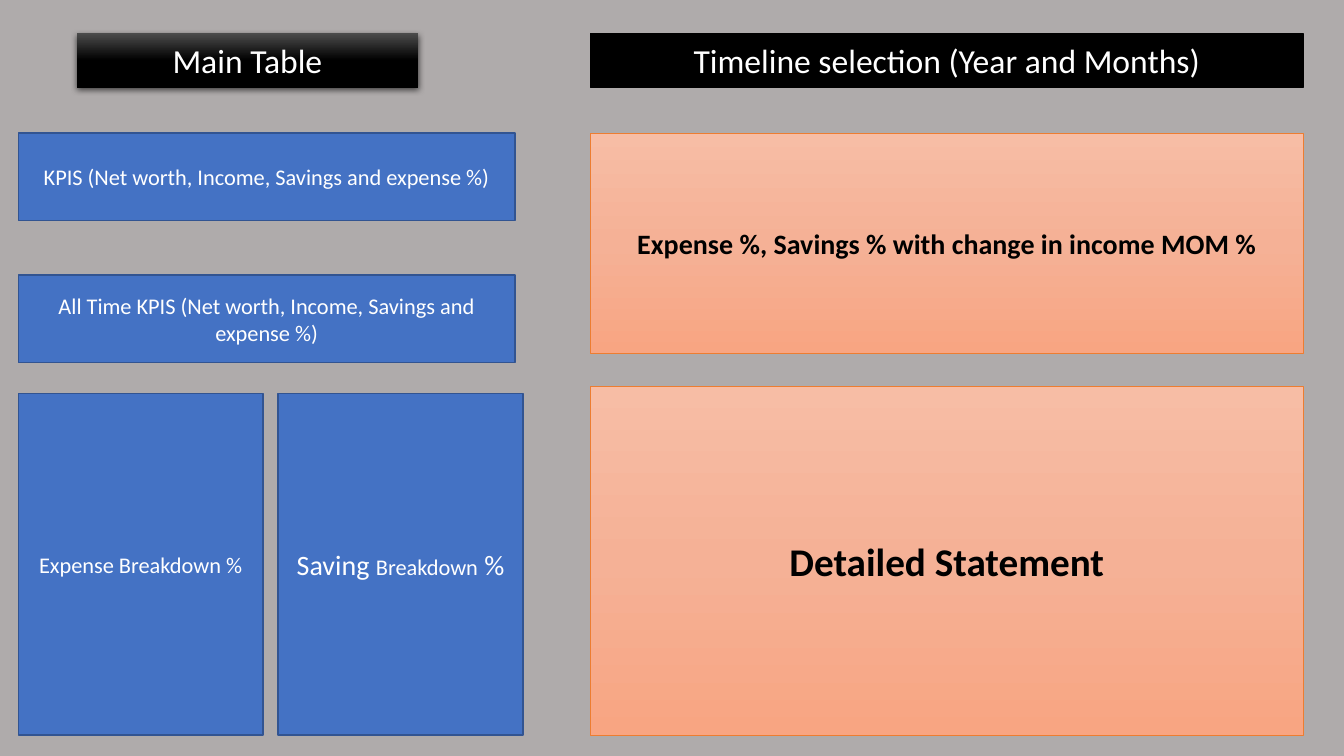
import pptx
import pptx.dml.color
import pptx.enum.shapes
import pptx.enum.text
import pptx.oxml.ns
import pptx.util
from lxml import etree

Cm = pptx.util.Cm
Pt = pptx.util.Pt
RGBColor = pptx.dml.color.RGBColor
qn = pptx.oxml.ns.qn

# Colours
GREY = RGBColor(0xAF, 0xAB, 0xAB)
BLACK = RGBColor(0x00, 0x00, 0x00)
CHARCOAL = RGBColor(0x4B, 0x4B, 0x4B)
WHITE = RGBColor(0xFF, 0xFF, 0xFF)
BLUE = RGBColor(0x44, 0x72, 0xC4)
DARK_BLUE = RGBColor(0x32, 0x54, 0x91)
ORANGE = RGBColor(0xED, 0x7D, 0x31)
PEACH = (RGBColor(0xF7, 0xBD, 0xA5), RGBColor(0xF5, 0xB1, 0x96), RGBColor(0xF8, 0xA5, 0x82))
GLOSS = (CHARCOAL, BLACK, BLACK)

# Content: each text is a list of (words, size in points)
KPIS = [
    [("KPIS (Net worth, Income, Savings and expense %)", 16)],
    [("All Time KPIS (Net worth, Income, Savings and expense %)", 16)],
]
BREAKDOWNS = [
    [("Expense Breakdown %", 16)],
    [("Saving ", 20), ("Breakdown", 16), (" %", 20)],
]
MAIN_TITLE = [("Main Table", 24)]
TIMELINE_TITLE = [("Timeline selection (Year and Months)", 24)]
MONTHLY_CHANGE = [("Expense %, Savings % with change in income MOM %", 20)]
STATEMENT = [("Detailed Statement", 28)]

# Layout in centimetres
LEFT, RIGHT = 0.46, 14.88
RIGHT_WIDTH = 17.96
TITLE_TOP, TITLE_HEIGHT = 0.84, 1.37
BODY_TOP, BODY_BOTTOM = 3.35, 18.52
KPI_WIDTH, KPI_HEIGHT, KPI_STEP = 12.52, 2.21, 3.58
BREAKDOWN_TOP, BREAKDOWN_WIDTH, BREAKDOWN_STEP = 9.91, 6.17, 6.55
CHANGE_HEIGHT = 5.56
STATEMENT_TOP = 9.73

# Looks shared by the boxes
BLUE_BOX = dict(fill=BLUE, line=DARK_BLUE)
PEACH_BOX = dict(fill=PEACH, line=ORANGE, line_width=0.5, color=BLACK, bold=True)


def add_color(parent, color):
    return etree.SubElement(parent, qn("a:srgbClr"), val=str(color))


def set_gradient(shape, colors):
    """Fill from top to bottom with evenly spaced colours."""
    shape.fill.gradient()
    shape.fill.gradient_angle = 270
    stops = shape._element.spPr.find(qn("a:gradFill")).find(qn("a:gsLst"))
    for stop in list(stops):
        stops.remove(stop)
    for index, color in enumerate(colors):
        position = 100000 * index // (len(colors) - 1)
        add_color(etree.SubElement(stops, qn("a:gs"), pos=str(position)), color)


def add_shadow(shape):
    effects = shape._element.spPr.find(qn("a:effectLst"))
    shadow = etree.SubElement(
        effects, qn("a:outerShdw"), blurRad=str(Pt(4.5)), dist=str(Pt(1.5)),
        dir="5400000", algn="ctr", rotWithShape="0")
    etree.SubElement(add_color(shadow, BLACK), qn("a:alpha"), val="63000")


def write_text(shape, text, color=WHITE, bold=False):
    frame = shape.text_frame
    frame.word_wrap = True
    frame.vertical_anchor = pptx.enum.text.MSO_ANCHOR.MIDDLE
    paragraph = frame.paragraphs[0]
    paragraph.alignment = pptx.enum.text.PP_ALIGN.CENTER
    for words, size in text:
        run = paragraph.add_run()
        run.text = words
        run.font.name = "Calibri"
        run.font.size = Pt(size)
        run.font.bold = bold
        run.font.color.rgb = color


def add_box(slide, text, left, top, width, height, fill, line=None, line_width=1, **text_format):
    shape = slide.shapes.add_shape(
        pptx.enum.shapes.MSO_SHAPE.RECTANGLE, Cm(left), Cm(top), Cm(width), Cm(height))
    shape.shadow.inherit = False
    if isinstance(fill, RGBColor):
        shape.fill.solid()
        shape.fill.fore_color.rgb = fill
    else:
        set_gradient(shape, fill)
    if line is None:
        shape.line.fill.background()
    else:
        shape.line.color.rgb = line
        shape.line.width = Pt(line_width)
    write_text(shape, text, **text_format)
    return shape


def main():
    presentation = pptx.Presentation()
    presentation.slide_width = Cm(33.87)
    presentation.slide_height = Cm(19.05)
    slide = presentation.slides.add_slide(presentation.slide_layouts[6])
    slide.background.fill.solid()
    slide.background.fill.fore_color.rgb = GREY

    # Titles
    main_title = add_box(slide, MAIN_TITLE, 1.93, TITLE_TOP, 8.61, TITLE_HEIGHT, fill=GLOSS)
    add_shadow(main_title)
    add_box(slide, TIMELINE_TITLE, RIGHT, TITLE_TOP, RIGHT_WIDTH, TITLE_HEIGHT,
            fill=BLACK, line=BLACK)

    # Left side: KPI rows above breakdown columns
    for row, text in enumerate(KPIS):
        add_box(slide, text, LEFT, BODY_TOP + row * KPI_STEP, KPI_WIDTH, KPI_HEIGHT, **BLUE_BOX)
    for column, text in enumerate(BREAKDOWNS):
        add_box(slide, text, LEFT + column * BREAKDOWN_STEP, BREAKDOWN_TOP,
                BREAKDOWN_WIDTH, BODY_BOTTOM - BREAKDOWN_TOP, **BLUE_BOX)

    # Right side: monthly change above the statement
    add_box(slide, MONTHLY_CHANGE, RIGHT, BODY_TOP, RIGHT_WIDTH, CHANGE_HEIGHT, **PEACH_BOX)
    add_box(slide, STATEMENT, RIGHT, STATEMENT_TOP, RIGHT_WIDTH,
            BODY_BOTTOM - STATEMENT_TOP, **PEACH_BOX)

    presentation.save("out.pptx")


if __name__ == "__main__":
    main()
